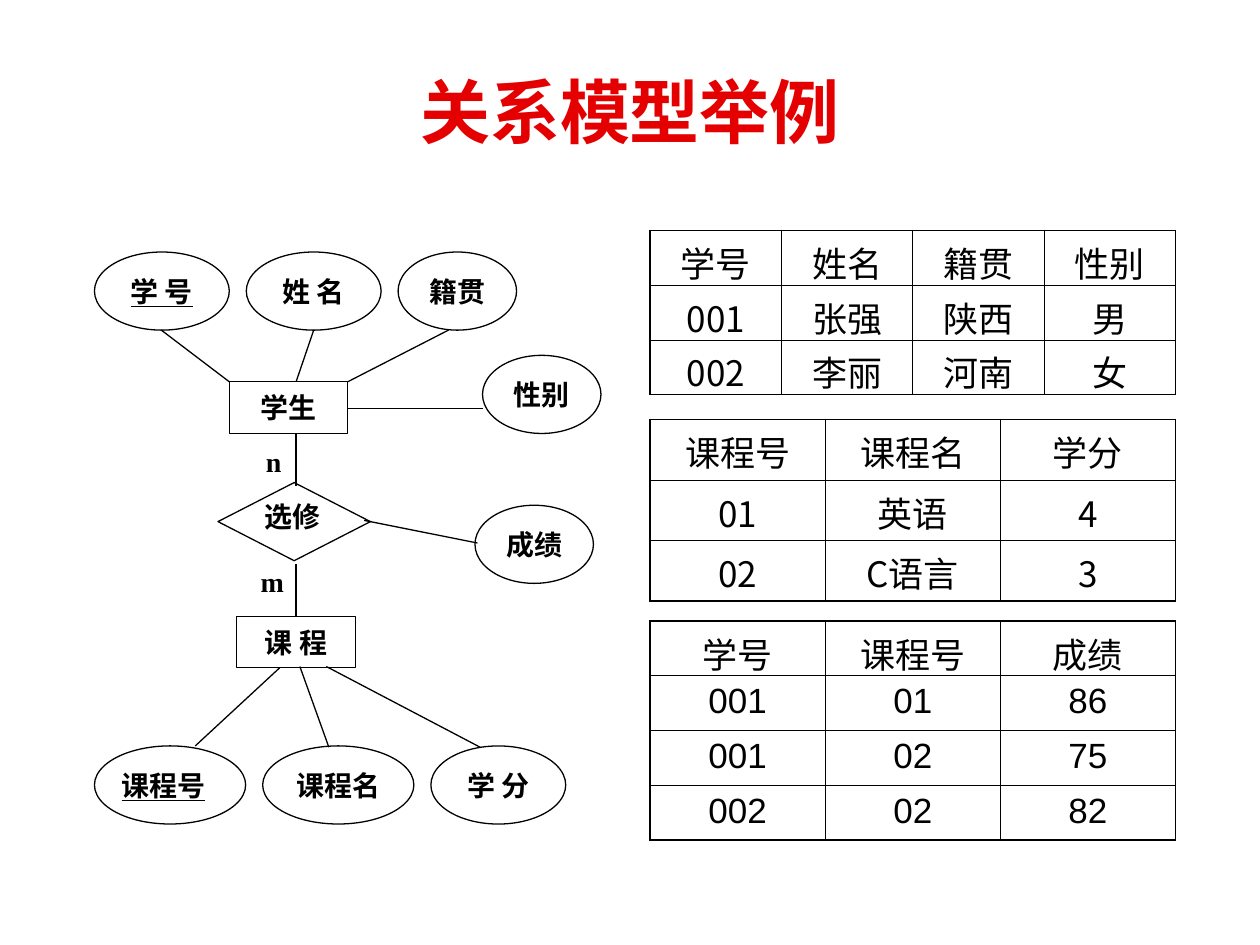
from typing import NamedTuple

from lxml import etree
from pptx import Presentation
from pptx.dml.color import RGBColor
from pptx.enum.shapes import MSO_CONNECTOR, MSO_SHAPE
from pptx.enum.text import MSO_ANCHOR, PP_ALIGN
from pptx.oxml.ns import qn
from pptx.util import Emu, Inches, Pt

ELLIPSE, RECTANGLE, DIAMOND = MSO_SHAPE.OVAL, MSO_SHAPE.RECTANGLE, MSO_SHAPE.DIAMOND
STRAIGHT = MSO_CONNECTOR.STRAIGHT
CENTER, JUSTIFY = PP_ALIGN.CENTER, PP_ALIGN.JUSTIFY
MIDDLE, TOP = MSO_ANCHOR.MIDDLE, MSO_ANCHOR.TOP

COLORS = {"title": "E40000", "ink": "000000", "paper": "FFFFFF"}
SERIF, SANS, CHINESE = "Times New Roman", "Arial", "Noto Sans CJK SC"
GRID_COLUMNS, GRID_ROWS = 100, 75
SLIDE_WIDTH, SLIDE_HEIGHT = Inches(10), Inches(7.5)
THIN, THICK = 0.45, 1.08
ATTRIBUTE_GAP, ATTRIBUTE_HEIGHT = 1.35, 6.2
ENTITY_WIDTH, ENTITY_HEIGHT = 9.4, 4.1
TABLE_LEFT, TABLE_WIDTH = 51.6, 41.7


class Box(NamedTuple):
    left: float
    top: float
    width: float
    height: float


class Node(NamedTuple):
    text: str
    kind: int
    box: Box
    key: bool = False
    alignment: int = CENTER


class Label(NamedTuple):
    text: str
    box: Box
    side_margin: float = 0
    bottom_margin: float = 0
    anchor: int = TOP
    alignment: int = CENTER


class Link(NamedTuple):
    start: tuple
    end: tuple


class Relation(NamedTuple):
    top: float
    row_height: float
    rows: list
    body_font: str = CHINESE


def attribute(text: str, left: float, top: float, width: float = ENTITY_WIDTH,
              key: bool = False, alignment: int = CENTER) -> Node:
    return Node(text, ELLIPSE, Box(left, top, width, ATTRIBUTE_HEIGHT), key, alignment)


def attribute_row(top: float, left: float, items: list) -> list:
    nodes = []
    for text, width, key, alignment in items:
        nodes.append(attribute(text, left, top, width, key, alignment))
        left += width + ATTRIBUTE_GAP
    return nodes


NODES = [
    *attribute_row(20, 7.5, [("学 号", 10.7, True, CENTER), ("姓 名", 10.7, False, CENTER),
                             ("籍贯", 9.4, False, CENTER)]),
    *attribute_row(59.2, 7.5, [("课程号", 12, True, JUSTIFY), ("课程名", 12, False, CENTER),
                               ("学 分", 10.7, False, CENTER)]),
    attribute("性别", 38.3, 28.2),
    attribute("成绩", 37.7, 40.1),
    Node("学生", RECTANGLE, Box(18.2, 30.3, ENTITY_WIDTH, ENTITY_HEIGHT)),
    Node("课 程", RECTANGLE, Box(18.8, 48.9, ENTITY_WIDTH, ENTITY_HEIGHT)),
    Node("", DIAMOND, Box(17.3, 38.3, 12.1, 6.2)),
]
LINKS = [
    Link((12.8, 26.2), (18.2, 30.3)),
    Link((24.9, 26.2), (23.5, 30.3)),
    Link((35.6, 26.2), (27.6, 30.3)),
    Link((27.6, 32.4), (38.3, 32.4)),
    Link((23.5, 34.4), (23.5, 38.6)),
    Link((28.9, 41.3), (37.9, 43.1)),
    Link((23.5, 44.8), (23.5, 48.9)),
    Link((22.2, 53), (15.5, 59.2)),
    Link((23.8, 52.9), (26.1, 59.3)),
    Link((25.9, 52.9), (38.1, 59.3)),
]
LABELS = [
    Label("n", Box(20.7, 35.3, 2.4, 2.5), side_margin=0.4, alignment=JUSTIFY),
    Label("选修", Box(18.4, 38.9, 9.7, 4.7), bottom_margin=0.6, anchor=MIDDLE),
    Label("m", Box(19.5, 44.8, 4.2, 2.8)),
]
RELATIONS = [
    Relation(18.3, 4.3, [["学号", "姓名", "籍贯", "性别"], ["001", "张强", "陕西", "男"],
                         ["002", "李丽", "河南", "女"]]),
    Relation(33.3, 4.8, [["课程号", "课程名", "学分"], ["01", "英语", "4"],
                         ["02", "C语言", "3"]]),
    Relation(49.3, 4.33, [["学号", "课程号", "成绩"], ["001", "01", "86"],
                          ["001", "02", "75"], ["002", "02", "82"]], SANS),
]


def across(columns: float) -> Emu:
    return Emu(round(SLIDE_WIDTH * columns / GRID_COLUMNS))


def down(rows: float) -> Emu:
    return Emu(round(SLIDE_HEIGHT * rows / GRID_ROWS))


def place(box: Box) -> tuple:
    return across(box.left), down(box.top), across(box.width), down(box.height)


def color(name: str) -> RGBColor:
    return RGBColor.from_string(COLORS[name])


def write(frame, text: str, size: float, font_name: str, alignment: int = CENTER,
          ink: str = "ink", bold: bool = True, underline: bool = False) -> None:
    paragraph = frame.paragraphs[0]
    paragraph.alignment = alignment
    run = paragraph.add_run()
    run.text = text
    font = run.font
    font.size, font.bold, font.name = Pt(size), bold, font_name
    font.underline = underline
    font.color.rgb = color(ink)
    east_asian = etree.SubElement(run._r.get_or_add_rPr(), qn("a:ea"))
    east_asian.set("typeface", CHINESE)


def set_frame(frame, side: float, bottom: float, anchor: int) -> None:
    frame.word_wrap = True
    frame.vertical_anchor = anchor
    frame.margin_left = frame.margin_right = across(side)
    frame.margin_top, frame.margin_bottom = 0, down(bottom)


def draw_node(slide, node: Node) -> None:
    shape = slide.shapes.add_shape(node.kind, *place(node.box))
    shape.shadow.inherit = False
    shape.fill.solid()
    shape.fill.fore_color.rgb = color("paper")
    shape.line.color.rgb = color("ink")
    shape.line.width = Pt(0.75)
    if node.text:
        set_frame(shape.text_frame, 0.4, 0, MIDDLE)
        write(shape.text_frame, node.text, 16, SERIF, node.alignment, underline=node.key)


def draw_link(slide, link: Link) -> None:
    (start_x, start_y), (end_x, end_y) = link
    connector = slide.shapes.add_connector(
        STRAIGHT, across(start_x), down(start_y), across(end_x), down(end_y))
    connector.line.color.rgb = color("ink")
    connector.line.width = Pt(0.75)
    etree.SubElement(connector._element.spPr, qn("a:effectLst"))


def draw_label(slide, label: Label) -> None:
    frame = slide.shapes.add_textbox(*place(label.box)).text_frame
    set_frame(frame, label.side_margin, label.bottom_margin, label.anchor)
    write(frame, label.text, 16, SERIF, label.alignment)


def set_borders(cell, outer_edges: dict) -> None:
    properties = cell._tc.get_or_add_tcPr()
    for index, (edge, outer) in enumerate(outer_edges.items()):
        line = etree.Element(qn(f"a:ln{edge}"), w=str(Pt(THICK if outer else THIN)))
        fill = etree.SubElement(line, qn("a:solidFill"))
        etree.SubElement(fill, qn("a:srgbClr"), val=COLORS["ink"])
        properties.insert(index, line)


def draw_relation(slide, relation: Relation) -> None:
    row_count, column_count = len(relation.rows), len(relation.rows[0])
    box = Box(TABLE_LEFT, relation.top, TABLE_WIDTH, relation.row_height * row_count)
    table = slide.shapes.add_table(row_count, column_count, *place(box)).table
    table.first_row = table.horz_banding = False
    for row, values in enumerate(relation.rows):
        for column, value in enumerate(values):
            cell = table.cell(row, column)
            cell.fill.background()
            font_name = relation.body_font if row else CHINESE
            write(cell.text_frame, value, 20, font_name, bold=False)
            set_borders(cell, {"L": column == 0, "R": column == column_count - 1,
                               "T": row == 0, "B": row == row_count - 1})


def main() -> None:
    presentation = Presentation()
    presentation.slide_width, presentation.slide_height = SLIDE_WIDTH, SLIDE_HEIGHT
    slide = presentation.slides.add_slide(presentation.slide_layouts[5])
    title = slide.shapes.title
    title.left, title.top, title.width, title.height = place(Box(3.3, 2.5, 93.4, 12.5))
    title.text_frame.vertical_anchor = MIDDLE
    write(title.text_frame, "关系模型举例", 40, SANS, ink="title")
    for draw, items in ((draw_node, NODES), (draw_link, LINKS),
                        (draw_label, LABELS), (draw_relation, RELATIONS)):
        for item in items:
            draw(slide, item)
    presentation.save("out.pptx")


if __name__ == "__main__":
    main()
